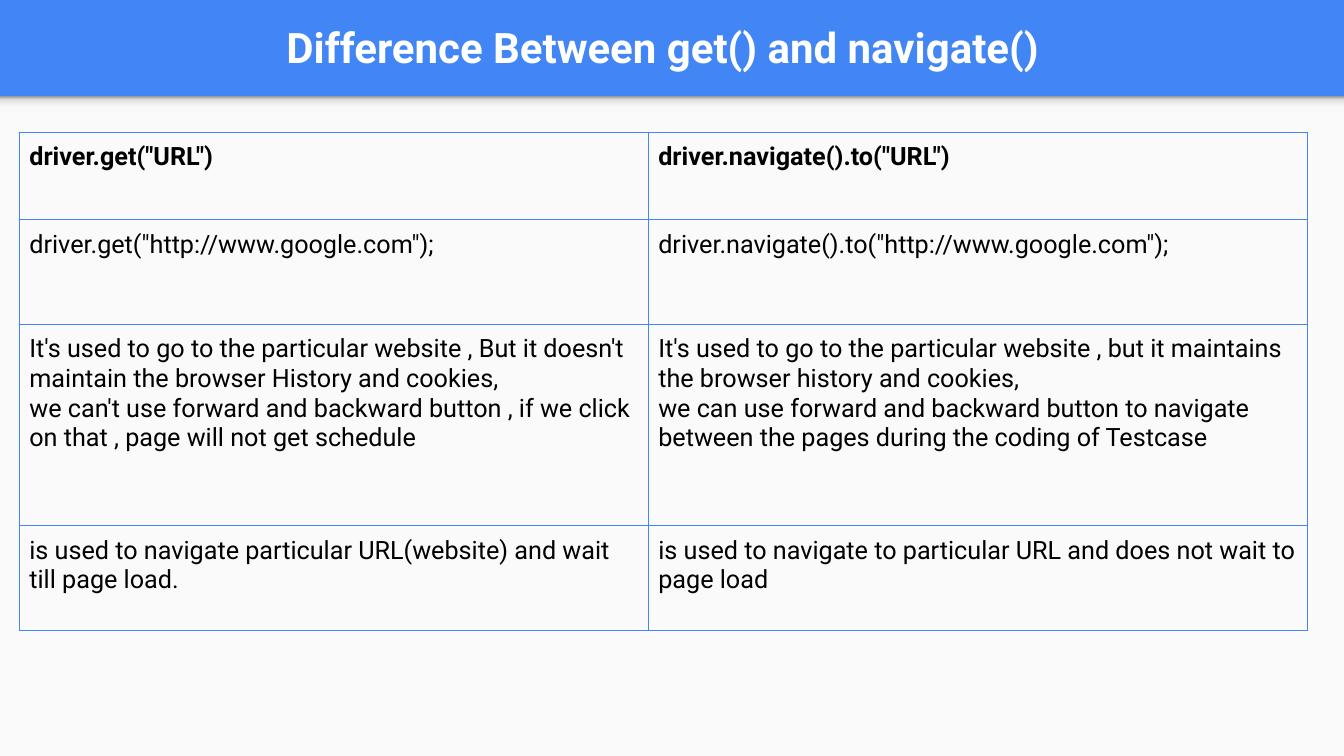
from lxml.etree import SubElement
from pptx import Presentation
from pptx.dml.color import RGBColor
from pptx.enum.shapes import MSO_SHAPE
from pptx.enum.text import MSO_ANCHOR, MSO_AUTO_SIZE, PP_ALIGN
from pptx.oxml.ns import qn
from pptx.util import Cm, Pt

TITLE = "Difference Between get() and navigate()"
ROWS = [
    (2.21, ['driver.get("URL")'], ['driver.navigate().to("URL")']),
    (2.64, ['driver.get("http://www.google.com");'],
     ['driver.navigate().to("http://www.google.com");']),
    (5.07,
     ["It's used to go to the particular website , But it doesn't maintain "
      "the browser History and cookies,",
      "we can't use forward and backward button , if we click on that , "
      "page will not get schedule"],
     ["It's used to go to the particular website , but it maintains the "
      "browser history and cookies,",
      "we can use forward and backward button to navigate between the pages "
      "during the coding of Testcase"]),
    (2.64,
     ["is used to navigate particular URL(website) and wait till page load."],
     ["is used to navigate to particular URL and does not wait to page load"]),
]
COLS = [15.85, 16.61]
BLUE, PAPER = "4285F4", "FAFAFA"
SHADE = [(0, "F9F9F9"), (36, "F9F9F9"), (80, "DEDEDE"), (100, "999999")]
WIDE, HIGH, HEAD = 33.87, 19.05, 2.43
PAD = Cm(0.25)


def paint(target, color):
    target.solid()
    target.fore_color.rgb = RGBColor.from_string(color)


def write(para, text, size, color, bold):
    run = para.add_run()
    run.text = text
    font = run.font
    font.name, font.size, font.bold = "Roboto", Pt(size), bold
    paint(font.fill, color)


def pad(box):
    box.margin_left = box.margin_right = PAD
    box.margin_top = box.margin_bottom = PAD


def panel(slide, top, height):
    box = slide.shapes.add_shape(
        MSO_SHAPE.RECTANGLE, 0, Cm(top), Cm(WIDE), Cm(height))
    box.shadow.inherit = False
    box.line.fill.background()
    return box


def fade(box):
    box.fill.gradient()
    box.fill.gradient_angle = 90
    stops = box.fill._xPr.find(".//" + qn("a:gsLst"))
    stops.clear()
    for pos, color in SHADE:
        stop = SubElement(stops, qn("a:gs"), pos=str(pos * 1000))
        SubElement(stop, qn("a:srgbClr"), val=color)


def frame(cell):
    props = cell._tc.get_or_add_tcPr()
    for side in "LRTB":
        line = SubElement(props, qn("a:ln" + side), w=str(Pt(0.75)))
        fill = SubElement(line, qn("a:solidFill"))
        SubElement(fill, qn("a:srgbClr"), val=BLUE)
    cell.fill.background()


def head(slide):
    title = slide.shapes.title
    title.left, title.top = Cm(0.36), Cm(0.05)
    title.width, title.height = Cm(32.69), Cm(2.24)
    text = title.text_frame
    text.auto_size = MSO_AUTO_SIZE.NONE
    text.word_wrap = True
    text.vertical_anchor = MSO_ANCHOR.MIDDLE
    pad(text)
    para = text.paragraphs[0]
    para.alignment = PP_ALIGN.CENTER
    write(para, TITLE, 30, "FFFFFF", True)


def grid(slide):
    high = sum(row[0] for row in ROWS)
    table = slide.shapes.add_table(
        len(ROWS), len(COLS), Cm(0.49), Cm(3.33), Cm(sum(COLS)), Cm(high)).table
    table.first_row = table.horz_banding = False
    for col, width in zip(table.columns, COLS):
        col.width = Cm(width)
    for r, (height, *texts) in enumerate(ROWS):
        table.rows[r].height = Cm(height)
        for c, lines in enumerate(texts):
            cell = table.cell(r, c)
            pad(cell)
            frame(cell)
            text = cell.text_frame
            for i, line in enumerate(lines):
                para = text.add_paragraph() if i else text.paragraphs[0]
                write(para, line, 18, "000000", r == 0)


def main():
    deck = Presentation()
    deck.slide_width, deck.slide_height = Cm(WIDE), Cm(HIGH)
    slide = deck.slides.add_slide(deck.slide_layouts[5])
    paint(slide.background.fill, BLUE)
    paint(panel(slide, HEAD, HIGH - HEAD).fill, PAPER)
    fade(panel(slide, HEAD, 0.41))
    head(slide)
    grid(slide)
    deck.save("out.pptx")


if __name__ == "__main__":
    main()
